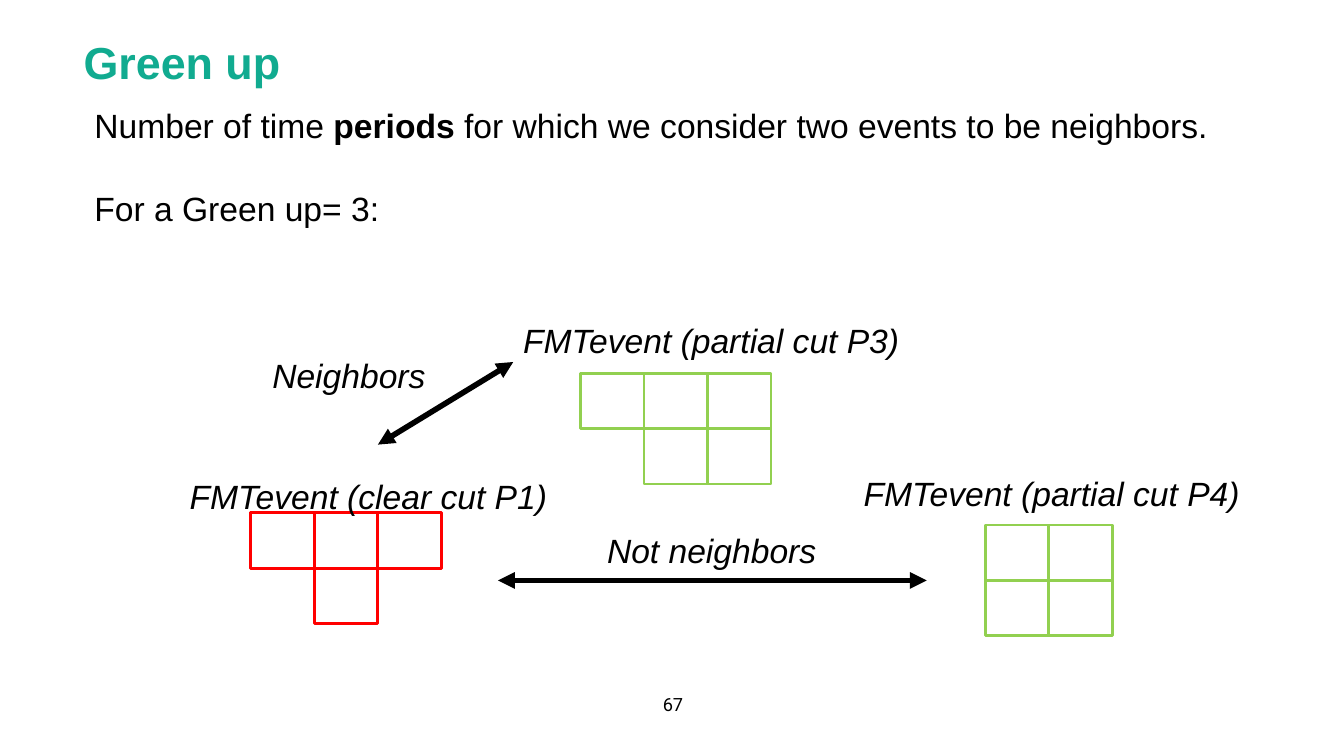
from lxml.etree import SubElement as Sub
from pptx import Presentation
from pptx.dml.color import RGBColor
from pptx.enum.shapes import MSO_CONNECTOR as Link, MSO_SHAPE as Form
from pptx.enum.text import MSO_ANCHOR as Anchor, PP_ALIGN as Align
from pptx.oxml.ns import qn
from pptx.util import Inches, Pt

COL, ROW = 0.63, 0.55
RED, GREEN = "FF0000", "92D050"
BODY = dict(name="Arial", size=Pt(24))
LABEL = dict(BODY, italic=True)
TITLE = dict(name="Arial", size=Pt(32), bold=True)
PAGE = dict(name="Roboto", size=Pt(13))


def tint(color, code):
    """Set a colour from a hex string."""
    color.rgb = RGBColor.from_string(code)


def place(*spans):
    """Turn alternating columns and rows into lengths."""
    return [Inches(n * (ROW if i % 2 else COL)) for i, n in enumerate(spans)]


def write(slide, box, paras, form, code="000000", anchor=Anchor.TOP,
          align=Align.LEFT, gap=0, top=0.08):
    """Add a text box; each paragraph is a list of (text, extra format)."""
    frame = slide.shapes.add_textbox(*place(*box)).text_frame
    look = dict(word_wrap=True, vertical_anchor=anchor, margin_top=Inches(top))
    for key, val in look.items():
        setattr(frame, key, val)
    for i, runs in enumerate(paras):
        para = frame.add_paragraph() if i else frame.paragraphs[0]
        para.alignment = align
        if i:
            para.space_before = Pt(gap)
        for text, extra in runs:
            run = para.add_run()
            run.text = text
            for key, val in {**form, **extra}.items():
                setattr(run.font, key, val)
            tint(run.font.color, code)


def label(slide, text, col, row, wide=6.75, high=2.38):
    """Add an italic caption."""
    write(slide, (col, row, wide, high), [[(text, {})]], LABEL)


def event(slide, col, row, cells, code):
    """Draw an event as a cluster of unit cells."""
    for x, y in cells:
        cell = slide.shapes.add_shape(
            Form.RECTANGLE, *place(col + x, row + y, 1, 1))
        cell.shadow.inherit = False
        cell.fill.solid()
        tint(cell.fill.fore_color, "FFFFFF")
        tint(cell.line.color, code)
        cell.line.width = Pt(2)


def arrow(slide, *ends):
    """Draw a thick line with a head at both ends."""
    link = slide.shapes.add_connector(Link.STRAIGHT, *place(*ends))
    tint(link.line.color, "000000")
    link.line.width = Pt(4)
    line = link.line._get_or_add_ln()
    for tag in ("a:headEnd", "a:tailEnd"):
        Sub(line, qn(tag), type="triangle")
    Sub(link._element.spPr, qn("a:effectLst"))


def main():
    """Build and save the slide."""
    deck = Presentation()
    deck.slide_width, deck.slide_height = Inches(13.33), Inches(7.5)
    slide = deck.slides.add_slide(deck.slide_layouts[6])
    write(slide, (10.16, 12.4, 0.87, 0.6), [[("67", {})]], PAGE,
          anchor=Anchor.MIDDLE, align=Align.CENTER, top=0.05)
    write(slide, (1.16, 0.15, 17.98, 1.54), [[("Green up", {})]], TITLE,
          "11AB90", Anchor.BOTTOM)
    intro = [("Number of time ", {}), ("periods ", dict(bold=True)),
             ("for which we consider two events to be neighbors.", {})]
    write(slide, (1.33, 1.75, 18.17, 2.38),
          [intro, [("For a Green up= 3:", {})]], BODY, gap=30)

    top = [(0, 0), (1, 0), (2, 0)]
    event(slide, 3.95, 9.25, top + [(1, 1)], RED)
    event(slide, 9.14, 6.73, top + [(1, 1), (2, 1)], GREEN)
    event(slide, 15.51, 9.47, [(0, 0), (1, 0), (0, 1), (1, 1)], GREEN)

    label(slide, "FMTevent (clear cut P1)", 2.83, 8.44)
    label(slide, "FMTevent (partial cut P3)", 8.08, 5.62)
    label(slide, "FMTevent (partial cut P4)", 13.44, 8.38)
    label(slide, "Neighbors", 4.13, 6.25, 3.51, 1.65)
    label(slide, "Not neighbors", 9.4, 9.42, 5.21, 1.65)
    arrow(slide, 8.08, 6.53, 5.95, 8.02)
    arrow(slide, 14.59, 10.47, 7.84, 10.47)
    deck.save("out.pptx")


if __name__ == "__main__":
    main()
